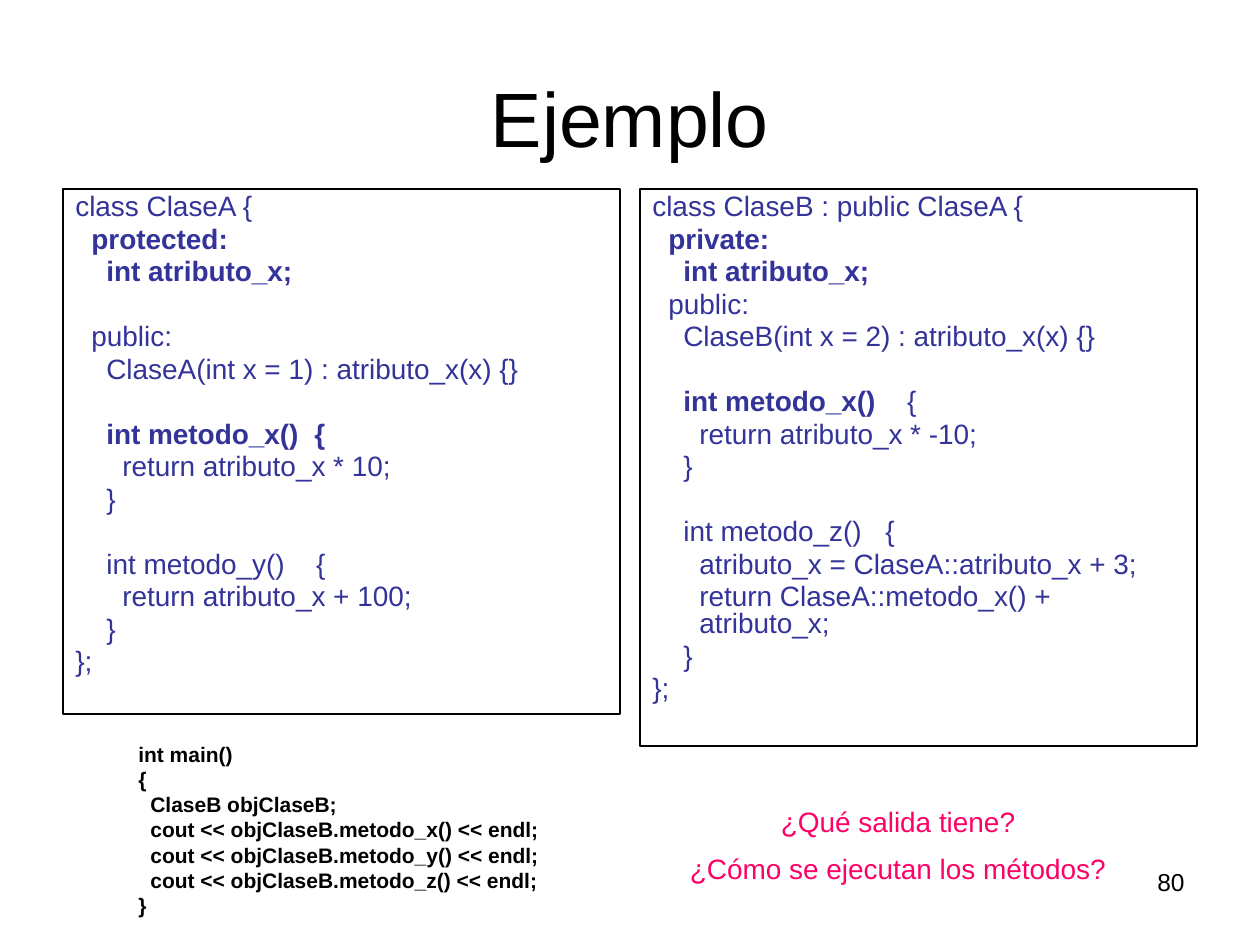
from dataclasses import dataclass

from pptx import Presentation
from pptx.dml.color import RGBColor
from pptx.enum.text import MSO_ANCHOR as Anchor, PP_ALIGN as Align
from pptx.slide import Slide
from pptx.text.text import _Paragraph as Paragraph
from pptx.util import Emu, Pt

EMU_PER_PIXEL = 914400 / 126
INDENT_PIXELS_PER_POINT = 0.97
SPACE_WIDTH_PER_POINT = 0.28
FONT = "Arial"
BLACK, NAVY, PINK = "000000", "333399", "FF0066"


@dataclass(frozen=True)
class Segment:
    text: str
    bold: bool = False
    extra_spaces: int = 0


@dataclass(frozen=True)
class Line:
    segments: tuple[Segment, ...]
    level: int = 0
    gap_before: bool = False


@dataclass(frozen=True)
class TextBlock:
    left: int
    top: int
    width: int
    height: int
    lines: tuple[Line, ...]
    size: int
    color: str
    align: Align = Align.LEFT
    line_spacing: float = 1.0
    space_before: float = 0
    gap: float = 0
    outlined: bool = False


def px(pixels: float) -> Emu:
    return Emu(round(pixels * EMU_PER_PIXEL))


def rgb(color: str) -> RGBColor:
    return RGBColor.from_string(color)


def line(text: str, level: int = 0, bold: bool = False, gap_before: bool = False) -> Line:
    return Line((Segment(text, bold),), level, gap_before)


def method(name: str, spaces: int, name_bold: bool = False, brace_bold: bool = False) -> Line:
    return Line(
        (
            Segment(name, name_bold),
            Segment(" ", brace_bold, spaces - 1),
            Segment("{", brace_bold),
        ),
        2,
        True,
    )


def add_segment(paragraph: Paragraph, segment: Segment, size: int, color: str) -> None:
    run = paragraph.add_run()
    run.text = segment.text
    run.font.name = FONT
    run.font.size = Pt(size)
    run.font.bold = segment.bold
    run.font.color.rgb = rgb(color)
    if segment.extra_spaces:
        spacing = segment.extra_spaces * size * SPACE_WIDTH_PER_POINT
        run._r.get_or_add_rPr().set("spc", str(round(spacing * 100)))


def add_block(slide: Slide, block: TextBlock) -> None:
    shape = slide.shapes.add_textbox(
        px(block.left), px(block.top), px(block.width), px(block.height)
    )
    if block.outlined:
        shape.line.color.rgb = rgb(BLACK)
        shape.line.width = Pt(0.75)
    frame = shape.text_frame
    frame.word_wrap = True
    for index, item in enumerate(block.lines):
        paragraph = frame.add_paragraph() if index else frame.paragraphs[0]
        paragraph.alignment = block.align
        paragraph.line_spacing = block.line_spacing
        if index:
            paragraph.space_before = Pt(
                block.space_before + (block.gap if item.gap_before else 0)
            )
        if item.level:
            margin = px(round(item.level * block.size * INDENT_PIXELS_PER_POINT))
            properties = paragraph._p.get_or_add_pPr()
            properties.set("marL", str(margin))
            properties.set("indent", "0")
        for segment in item.segments:
            add_segment(paragraph, segment, block.size, block.color)


def add_title(slide: Slide, text: str) -> None:
    title = slide.shapes.title
    title.left, title.top, title.width, title.height = px(63), px(38), px(1134), px(157)
    frame = title.text_frame
    frame.vertical_anchor = Anchor.MIDDLE
    paragraph = frame.paragraphs[0]
    paragraph.alignment = Align.CENTER
    add_segment(paragraph, Segment(text), 44, BLACK)


def code_block(left: int, height: int, lines: tuple[Line, ...]) -> TextBlock:
    return TextBlock(
        left, 189, 557, height, lines, 16, NAVY,
        line_spacing=0.8, space_before=3.2, gap=18.6, outlined=True,
    )


CLASS_A = (
    line("class ClaseA {"),
    line("protected:", 1, bold=True),
    line("int atributo_x;", 2, bold=True),
    line("public:", 1, gap_before=True),
    line("ClaseA(int x = 1) : atributo_x(x) {}", 2),
    method("int metodo_x()", 2, name_bold=True, brace_bold=True),
    line("return atributo_x * 10;", 3),
    line("}", 2),
    method("int metodo_y()", 4),
    line("return atributo_x + 100;", 3),
    line("}", 2),
    line("};"),
)
CLASS_B = (
    line("class ClaseB : public ClaseA {"),
    line("private:", 1, bold=True),
    line("int atributo_x;", 2, bold=True),
    line("public:", 1),
    line("ClaseB(int x = 2) : atributo_x(x) {}", 2),
    method("int metodo_x()", 4, name_bold=True),
    line("return atributo_x * -10;", 3),
    line("}", 2),
    method("int metodo_z()", 3),
    line("atributo_x = ClaseA::atributo_x + 3;", 3),
    line("return ClaseA::metodo_x() + atributo_x;", 3),
    line("}", 2),
    line("};"),
)
MAIN = (
    line("int main()", bold=True),
    line("{", bold=True),
    line("ClaseB objClaseB;", 1, bold=True),
    *(line(f"cout << objClaseB.metodo_{name}() << endl;", 1, bold=True) for name in "xyz"),
    line("}", bold=True),
)
QUESTIONS = (line("¿Qué salida tiene?"), line("¿Cómo se ejecutan los métodos?"))

BLOCKS = (
    TextBlock(903, 861, 294, 66, (line("80"),), 14, BLACK, Align.RIGHT),
    code_block(63, 525, CLASS_A),
    code_block(640, 557, CLASS_B),
    TextBlock(126, 735, 514, 271, MAIN, 12, BLACK),
    TextBlock(662, 798, 472, 97, QUESTIONS, 16, PINK, Align.CENTER, space_before=8),
)

presentation = Presentation()
presentation.slide_width, presentation.slide_height = px(1260), px(945)
slide = presentation.slides.add_slide(presentation.slide_layouts[5])
add_title(slide, "Ejemplo")
for block in BLOCKS:
    add_block(slide, block)
presentation.save("out.pptx")
